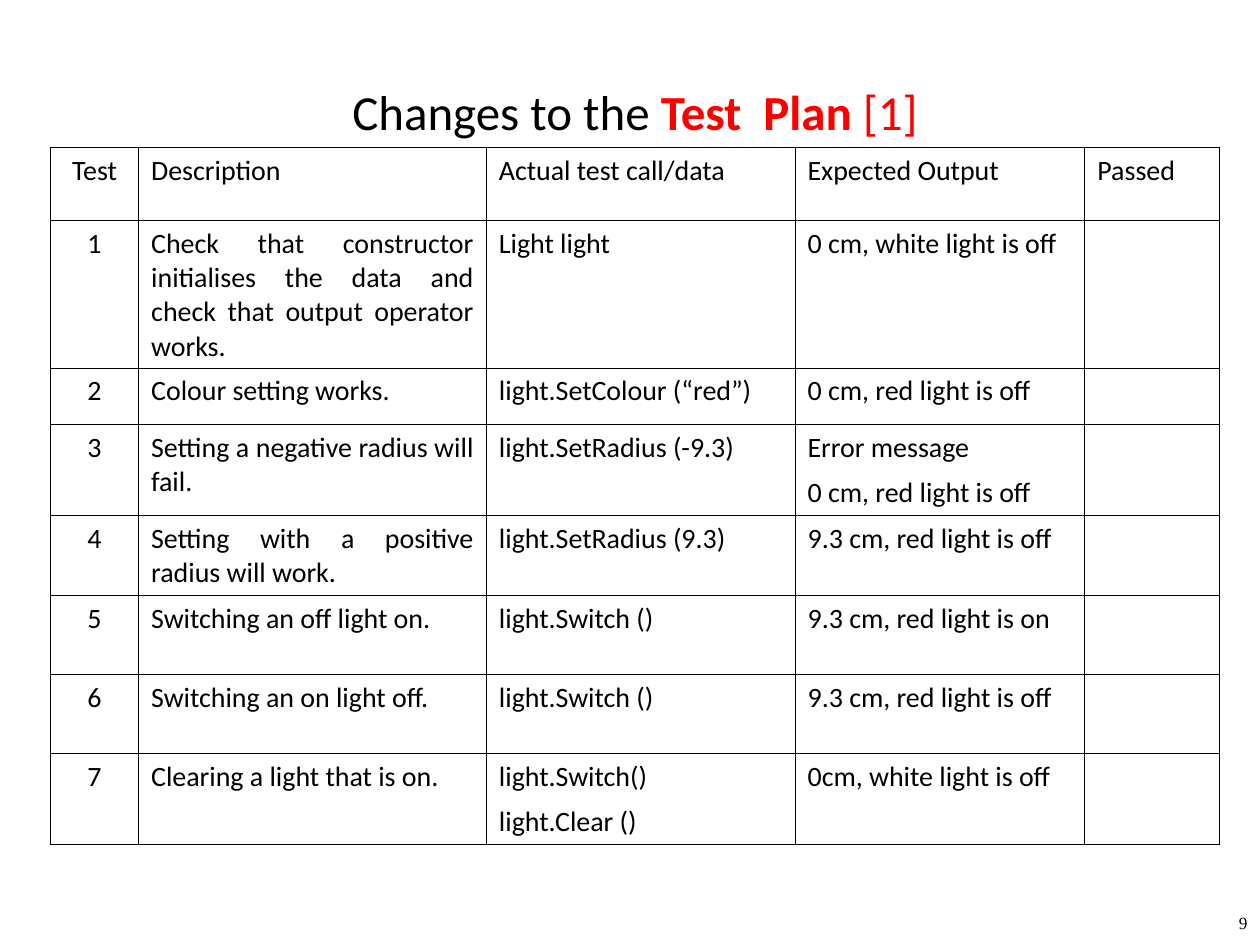
from lxml import etree
from pptx import Presentation
from pptx.dml.color import RGBColor
from pptx.enum.text import MSO_ANCHOR as Anchor, MSO_AUTO_SIZE as AutoSize, PP_ALIGN as Align
from pptx.oxml.ns import qn
from pptx.util import Inches, Pt

BLACK, RED = "000000", "FF0000"
THIN, THICK = 0.45, 1.08
COLUMNS = [0.7, 2.76, 2.45, 2.3, 1.07]
ROW_HEIGHTS = [0.58, 1.17, 0.45, 0.72, 0.63, 0.63, 0.63, 0.72]
HEADINGS = ["Test", "Description", "Actual test call/data", "Expected Output", "Passed"]
TESTS = [
    ("Check that constructor initialises the data and check that output operator works.",
     "Light light", "0 cm, white light is off"),
    ("Colour setting works.", "light.SetColour (“red”)", "0 cm, red light is off"),
    ("Setting a negative radius will fail.", "light.SetRadius (-9.3)",
     "Error message\n0 cm, red light is off"),
    ("Setting with a positive radius will work.", "light.SetRadius (9.3)",
     "9.3 cm, red light is off"),
    ("Switching an off light on.", "light.Switch ()", "9.3 cm, red light is on"),
    ("Switching an on light off.", "light.Switch ()", "9.3 cm, red light is off"),
    ("Clearing a light that is on.", "light.Switch()\nlight.Clear ()",
     "0cm, white light is off"),
]


def colour(value):
    """Turn a hex string into a colour."""
    return RGBColor.from_string(value)


def apply(target, values):
    """Set each attribute named in values."""
    for name, value in values.items():
        setattr(target, name, value)


def add_span(para, text, size, shade=BLACK, font="Calibri", bold=False):
    """Add one formatted run to a paragraph."""
    span = para.add_run()
    span.text = text
    apply(span.font, {"name": font, "size": Pt(size), "bold": bold})
    span.font.color.rgb = colour(shade)


def place(box, left, top, width, height):
    """Set the position and size of a shape."""
    apply(box, {"left": Inches(left), "top": Inches(top),
                "width": Inches(width), "height": Inches(height)})


def add_title(page):
    """Fill the title placeholder."""
    box = page.shapes.title
    place(box, 2.24, 0.6, 5.6, 0.57)
    apply(box.text_frame, {"word_wrap": True, "vertical_anchor": Anchor.TOP,
                           "auto_size": AutoSize.SHAPE_TO_FIT_TEXT})
    para = box.text_frame.paragraphs[0]
    apply(para, {"alignment": Align.CENTER, "space_before": Pt(0)})
    add_span(para, "Changes to the ", 28)
    add_span(para, "Test  Plan ", 28, RED, bold=True)
    add_span(para, "[1]", 28, RED)


def add_page_number(page):
    """Write the page number in the bottom right corner."""
    box = page.shapes.add_textbox(Inches(9.36), Inches(7.22), Inches(0.64), Inches(0.28))
    box.text_frame.word_wrap = True
    para = box.text_frame.paragraphs[0]
    apply(para, {"alignment": Align.RIGHT, "line_spacing": 0.8})
    add_span(para, "9", 9.8, font="Times New Roman")


def set_borders(cell, widths):
    """Draw the cell's edges in black, with a width in points for each side."""
    properties = cell._tc.get_or_add_tcPr()
    for side, width in widths.items():
        line = etree.SubElement(properties, qn(f"a:ln{side}"), w=str(Pt(width)))
        fill = etree.SubElement(line, qn("a:solidFill"))
        etree.SubElement(fill, qn("a:srgbClr"), val=BLACK)


def fill_cell(cell, text, alignment):
    """Write one paragraph for each line of text."""
    cell.fill.background()
    if not text:
        return
    for index, line in enumerate(text.split("\n")):
        frame = cell.text_frame
        para = frame.add_paragraph() if index else frame.paragraphs[0]
        apply(para, {"alignment": alignment, "space_before": Pt(4 if index else 0),
                     "space_after": Pt(2)})
        add_span(para, line, 16)


def add_test_table(page):
    """Build the test plan with a thick outer frame."""
    rows = [HEADINGS] + [[str(number), *test, ""] for number, test in enumerate(TESTS, 1)]
    last_row, last_column = len(rows) - 1, len(COLUMNS) - 1
    table = page.shapes.add_table(len(rows), len(COLUMNS), Inches(0.4), Inches(1.17),
                                  Inches(sum(COLUMNS)), Inches(sum(ROW_HEIGHTS))).table
    apply(table, {"first_row": False, "horz_banding": False})
    for column, width in zip(table.columns, COLUMNS):
        column.width = Inches(width)
    for row, height in zip(table.rows, ROW_HEIGHTS):
        row.height = Inches(height)
    for r, texts in enumerate(rows):
        for c, text in enumerate(texts):
            cell = table.cell(r, c)
            outer = {"L": c == 0, "R": c == last_column, "T": r == 0, "B": r == last_row}
            set_borders(cell, {side: THICK if edge else THIN for side, edge in outer.items()})
            fill_cell(cell, text, Align.JUSTIFY if c else Align.CENTER)


def main():
    """Build and save the deck."""
    deck = Presentation()
    apply(deck, {"slide_width": Inches(10), "slide_height": Inches(7.5)})
    page = deck.slides.add_slide(deck.slide_layouts[5])
    add_test_table(page)
    add_page_number(page)
    add_title(page)
    deck.save("out.pptx")


if __name__ == "__main__":
    main()
